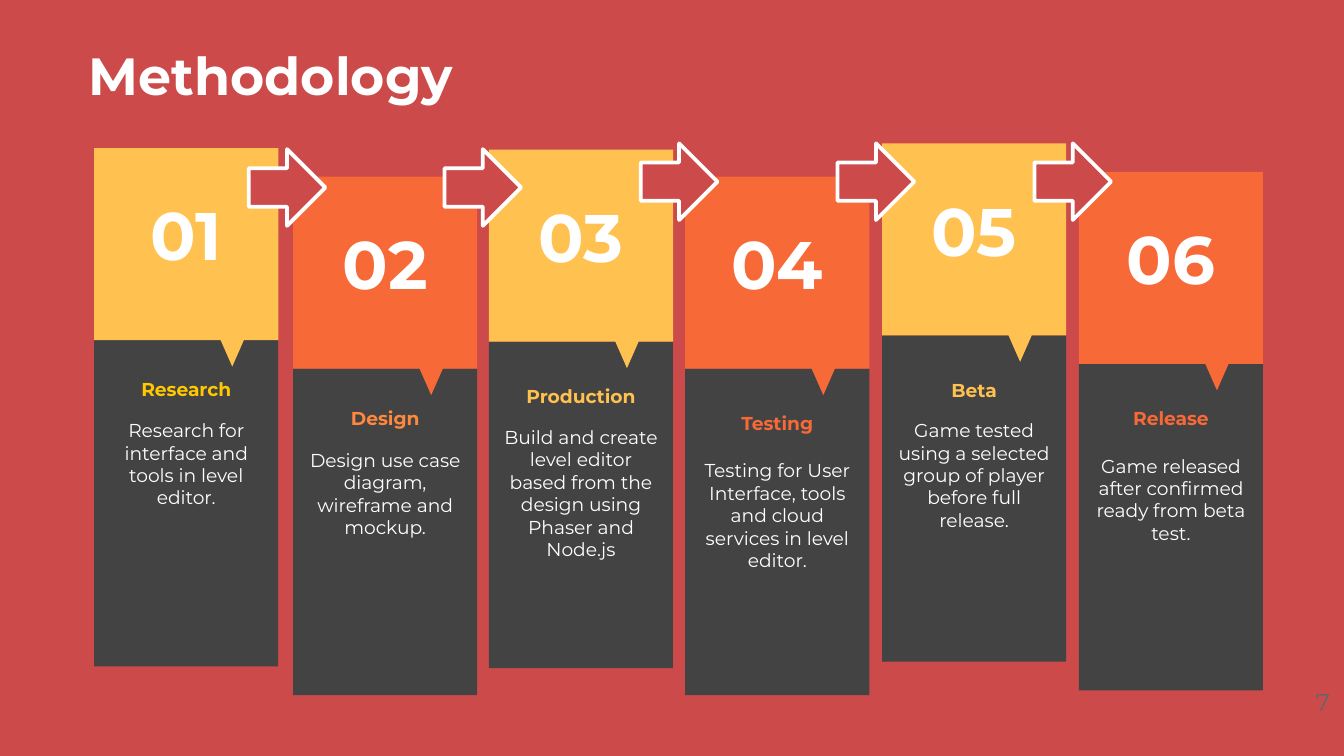
from lxml import etree
from pptx import Presentation
from pptx.dml.color import RGBColor
from pptx.enum.shapes import MSO_SHAPE
from pptx.enum.text import MSO_ANCHOR, PP_ALIGN
from pptx.oxml.ns import qn
from pptx.util import Cm, Pt

RECTANGLE = MSO_SHAPE.RECTANGLE
RIGHT_ARROW = MSO_SHAPE.RIGHT_ARROW
TOP, MIDDLE = MSO_ANCHOR.TOP, MSO_ANCHOR.MIDDLE
CENTER = PP_ALIGN.CENTER

RED, WHITE, DARK = "CC4A4A", "FFFFFF", "434343"
YELLOW, ORANGE = "FFC14F", "F76937"


def paint(fill, color):
    fill.solid()
    fill.fore_color.rgb = RGBColor.from_string(color)


def add_text(text, left, top, width, height, size, color, bold=False, anchor=TOP):
    box = page.shapes.add_textbox(Cm(left), Cm(top), Cm(width), Cm(height))
    frame = box.text_frame
    frame.word_wrap = True
    frame.vertical_anchor = anchor
    frame.margin_left = frame.margin_right = Cm(0.25)
    frame.margin_top = frame.margin_bottom = Cm(0.25)
    para = frame.paragraphs[0]
    para.text = text
    para.alignment = CENTER
    para.font.name = "Montserrat"
    para.font.size = Pt(size)
    para.font.bold = bold
    para.font.color.rgb = RGBColor.from_string(color)


deck = Presentation()
deck.slide_width = Cm(25.4)
deck.slide_height = Cm(14.29)
page = deck.slides.add_slide(deck.slide_layouts[6])
paint(page.background.fill, RED)

add_text("Methodology", 0.99, 0.38, 8.26, 2.06, 28, WHITE, True, MIDDLE)

card_width, header_height, body_height = 3.48, 3.63, 6.17
steps = [
    (1.78, 2.8, YELLOW, "Research", "FFC800", 6.93, 7.67,
     "Research for interface and tools in level editor."),
    (5.54, 3.34, ORANGE, "Design", "FF883E", 7.47, 8.23,
     "Design use case diagram, wireframe and mockup."),
    (9.24, 2.83, YELLOW, "Production", YELLOW, 7.07, 7.8,
     "Build and create level editor based from the design using Phaser and Node.js"),
    (12.95, 3.34, ORANGE, "Testing", ORANGE, 7.57, 8.43,
     "Testing for User Interface, tools and cloud services in level editor."),
    (16.67, 2.71, YELLOW, "Beta", YELLOW, 6.95, 7.67,
     "Game tested using a selected group of player before full release."),
    (20.39, 3.25, ORANGE, "Release", ORANGE, 7.48, 8.34,
     "Game released after confirmed ready from beta test."),
]

for number, step in enumerate(steps, 1):
    left, top, color, heading, heading_color, heading_top, detail_top, detail = step
    middle = top + header_height
    right = left + card_width

    body = page.shapes.add_shape(
        RECTANGLE, Cm(left), Cm(middle), Cm(card_width), Cm(body_height))
    outline = page.shapes.build_freeform(Cm(left), Cm(top))
    corners = [(left, middle), (left + 2.39, middle), (left + 2.61, middle + 0.5),
               (left + 2.83, middle), (right, middle), (right, top)]
    outline.add_line_segments([(Cm(x), Cm(y)) for x, y in corners])
    header = outline.convert_to_shape()
    for shape, fill_color in ((body, DARK), (header, color)):
        paint(shape.fill, fill_color)
        shape.line.fill.background()
        shape.shadow.inherit = False

    add_text(f"{number:02}", left, top + 0.61, card_width, 2.29, 36, WHITE, True)
    add_text(heading, left, heading_top, card_width, 1.07, 10, heading_color, True)
    add_text(detail, left, detail_top, card_width, 2.77, 10, WHITE)

arrow_tops = [2.82, 2.82, 2.71, 2.71, 2.71]
for step, arrow_top in zip(steps[1:], arrow_tops):
    arrow = page.shapes.add_shape(
        RIGHT_ARROW, Cm(step[0] - 0.84), Cm(arrow_top), Cm(1.45), Cm(1.45))
    paint(arrow.fill, RED)
    paint(arrow.line.fill, WHITE)
    arrow.line.width = Pt(2)
    etree.SubElement(arrow.line.fill._xPr, qn("a:round"))
    arrow.shadow.inherit = False

add_text("7", 24.5, 12.75, 1, 1.07, 13, "666666")

deck.save("out.pptx")
